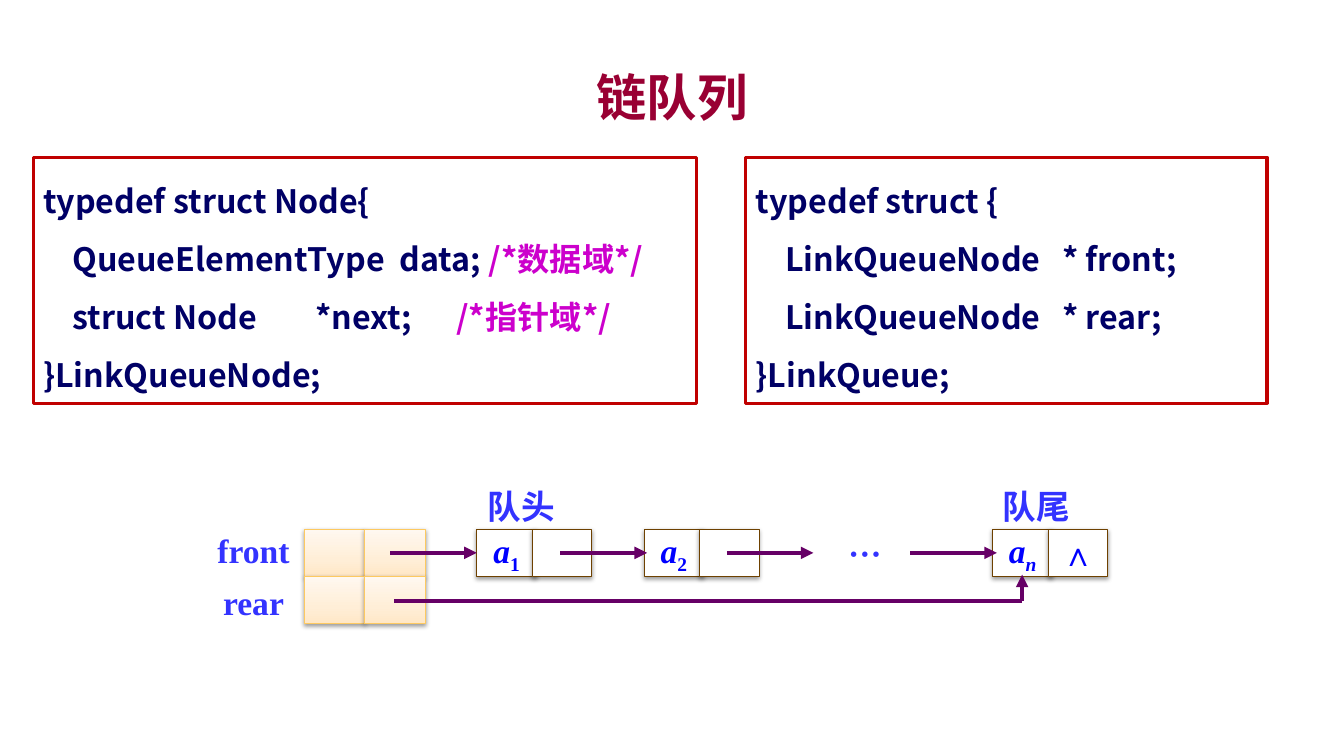
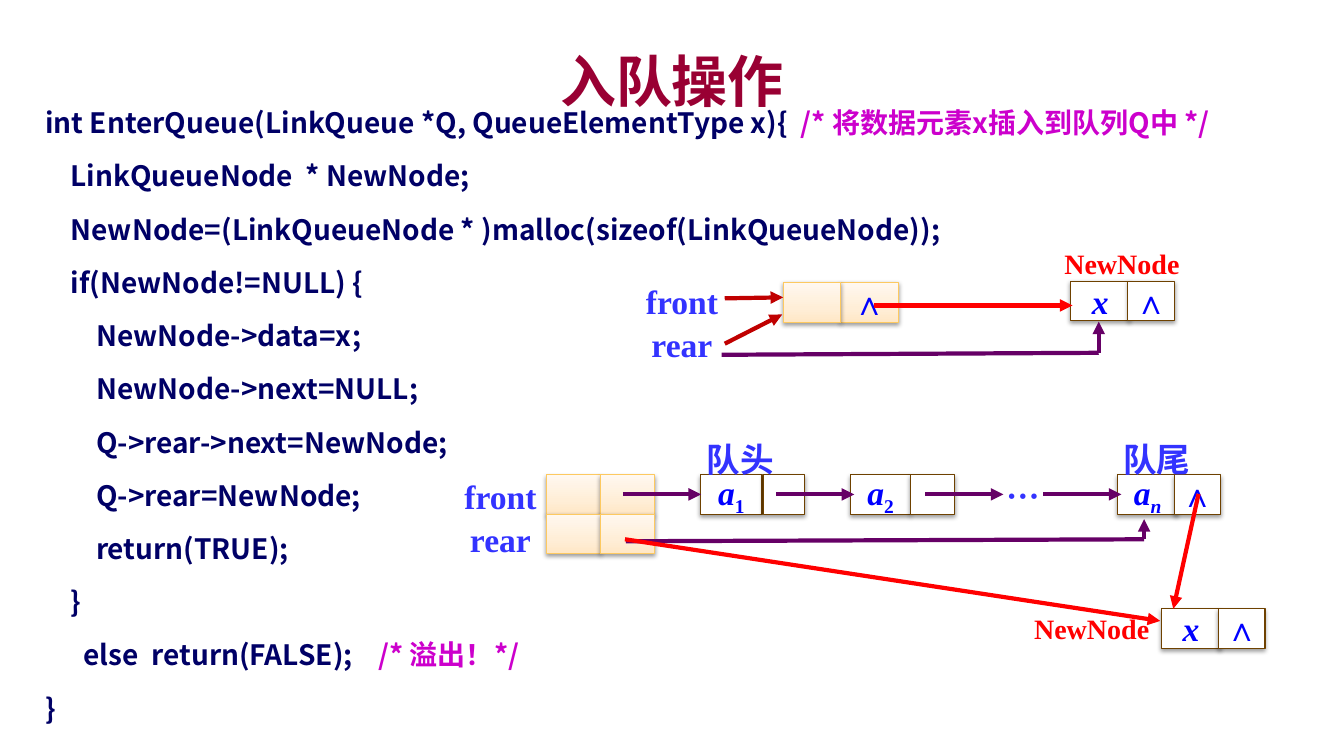
"""Build two slides on the linked queue: its types and its enqueue operation."""
import copy
import dataclasses
import typing

import pptx
import pptx.dml.color
import pptx.enum.shapes
import pptx.enum.text
import pptx.oxml
import pptx.oxml.ns
import pptx.oxml.xmlchemy
import pptx.util

GRID = pptx.util.Inches(0.1)
COLUMNS, ROWS = 133.33, 75
SANS, SERIF = "Noto Sans CJK SC", "Times New Roman"
TITLE, CODE, COMMENT, FRAME = "990033", "000066", "CC00CC", "C00000"
LABEL, VALUE, NEW, LINK = "3333FF", "0000FF", "FF0000", "660066"
CELL_LINE, HEADER_LINE, WHITE = "6E4100", "FDC960", "FFFFFF"
HEADER_STOPS = ((0, "FFE7C6"), (0.35, "FFEED7"), (1, "FFF8F0"))
SHADOW = (
    '<a:outerShdw xmlns:a="http://schemas.openxmlformats.org/drawingml/2006/main"'
    ' blurRad="40000" dist="20000" dir="5400000" rotWithShape="0">'
    '<a:srgbClr val="000000"><a:alpha val="38000"/></a:srgbClr></a:outerShdw>'
)
Slide = typing.Any
Shape = typing.Any
Paragraph = typing.Any


class Box(typing.NamedTuple):
    left: float
    top: float
    width: float
    height: float


class CodeLine(typing.NamedTuple):
    code: str
    comment: str = ""


@dataclasses.dataclass(frozen=True)
class Node:
    left: float
    data: str
    data_width: float = 5.9
    link_offset: float = 5.7
    link_width: float = 4.6
    subscript: str = ""
    link: str = ""


@dataclasses.dataclass(frozen=True)
class Chain:
    top: float
    row_height: float
    header_left: float
    header_width: float
    nodes: tuple[Node, ...]
    arrow_starts: tuple[float, ...]
    arrow_length: float
    end_labels: tuple[float, float]
    label_width: float
    label_rise: float
    dots: Box
    pointers: Box


def rgb(value: str) -> pptx.dml.color.RGBColor:
    """Turn a hex string into a colour."""
    return pptx.dml.color.RGBColor.from_string(value)


def place(*lengths: float) -> list[int]:
    """Convert grid lengths to drawing units."""
    return [round(length * GRID) for length in lengths]


def add_text(paragraph: Paragraph, text: str, size: float, color: str,
             face: str, italic: bool = False, lowered: bool = False) -> None:
    """Append one bold run to a paragraph."""
    run = paragraph.add_run()
    run.text = text
    run.font.size = pptx.util.Pt(size)
    run.font.bold = True
    run.font.italic = italic
    run.font.name = face
    run.font.color.rgb = rgb(color)
    properties = run._r.get_or_add_rPr()
    east_asian = pptx.oxml.xmlchemy.OxmlElement("a:ea")
    east_asian.set("typeface", face)
    properties.append(east_asian)
    if lowered:
        properties.set("baseline", "-25000")


def add_label(slide: Slide, box: Box, text: str, color: str = LABEL,
              size: float = 24, face: str = SANS) -> Shape:
    """Add a centred line of text."""
    shape = slide.shapes.add_textbox(*place(*box))
    frame = shape.text_frame
    frame.word_wrap = True
    frame.margin_left = frame.margin_right = 0
    paragraph = frame.paragraphs[0]
    paragraph.alignment = pptx.enum.text.PP_ALIGN.CENTER
    if face == SANS:
        paragraph.line_spacing = pptx.util.Pt(size * 1.25)
    add_text(paragraph, text, size, color, face)
    return shape


def add_title(slide: Slide, text: str, top: float, height: float, size: float) -> None:
    """Add the slide title."""
    shape = add_label(slide, Box(10, top, COLUMNS - 20, height), text, TITLE, size)
    shape.text_frame.vertical_anchor = pptx.enum.text.MSO_ANCHOR.MIDDLE
    shape.text_frame.paragraphs[0].line_spacing = 1.0


def add_code(slide: Slide, box: Box, lines: tuple[CodeLine, ...], size: float,
             pitch: float, before: float = 0, after: float = 0) -> Shape:
    """Add a listing with coloured comments."""
    shape = slide.shapes.add_textbox(*place(*box))
    frame = shape.text_frame
    frame.word_wrap = True
    for index, line in enumerate(lines):
        paragraph = frame.add_paragraph() if index else frame.paragraphs[0]
        properties = paragraph._p.get_or_add_pPr()
        properties.set("marL", str(pptx.util.Inches(0.38)))
        properties.set("indent", str(-pptx.util.Inches(0.38)))
        paragraph.line_spacing = pptx.util.Pt(pitch)
        paragraph.space_before = pptx.util.Pt(before if index else 0)
        paragraph.space_after = pptx.util.Pt(after)
        add_text(paragraph, line.code, size, CODE, SANS)
        if line.comment:
            add_text(paragraph, line.comment, size, COMMENT, SANS)
    return shape


def add_framed_code(slide: Slide, box: Box, lines: tuple[CodeLine, ...]) -> None:
    """Add a listing inside a red frame."""
    shape = add_code(slide, box, lines, 23, 41.4)
    shape.line.color.rgb = rgb(FRAME)
    shape.line.width = pptx.util.Pt(2.25)


def add_cell(slide: Slide, box: Box, text: str = "", subscript: str = "",
             header: bool = False) -> None:
    """Add one shadowed memory cell."""
    shape = slide.shapes.add_shape(pptx.enum.shapes.MSO_SHAPE.RECTANGLE, *place(*box))
    if header:
        shape.fill.gradient()
        shape.fill.gradient_angle = 90
        stops = shape.element.spPr.find(".//" + pptx.oxml.ns.qn("a:gsLst"))
        stops.append(copy.deepcopy(stops[-1]))
        for stop, (position, color) in zip(shape.fill.gradient_stops, HEADER_STOPS):
            stop.position = position
            stop.color.rgb = rgb(color)
    else:
        shape.fill.solid()
        shape.fill.fore_color.rgb = rgb(WHITE)
    shape.line.color.rgb = rgb(HEADER_LINE if header else CELL_LINE)
    shape.line.width = pptx.util.Pt(0.75)
    shape.shadow.inherit = False
    effects = shape.element.spPr.find(pptx.oxml.ns.qn("a:effectLst"))
    effects.append(pptx.oxml.parse_xml(SHADOW))
    if text:
        frame = shape.text_frame
        frame.word_wrap = False
        frame.vertical_anchor = pptx.enum.text.MSO_ANCHOR.MIDDLE
        paragraph = frame.paragraphs[0]
        paragraph.alignment = pptx.enum.text.PP_ALIGN.CENTER
        add_text(paragraph, text, 24, VALUE, SERIF, text != "∧")
        if subscript:
            add_text(paragraph, subscript, 24, VALUE, SERIF, subscript == "n", True)


def add_node(slide: Slide, node: Node, top: float, height: float) -> None:
    """Add the data cell and the link cell of a node."""
    add_cell(slide, Box(node.left, top, node.data_width, height), node.data, node.subscript)
    link_left = node.left + node.link_offset
    add_cell(slide, Box(link_left, top, node.link_width, height), node.link)


def add_line(slide: Slide, start: tuple[float, float], end: tuple[float, float],
             color: str = LINK, arrow: bool = True) -> None:
    """Add a straight line, with an arrowhead at its end by default."""
    connector = slide.shapes.add_connector(
        pptx.enum.shapes.MSO_CONNECTOR.STRAIGHT, *place(*start, *end))
    connector.line.color.rgb = rgb(color)
    connector.line.width = pptx.util.Pt(3)
    properties = connector._element.spPr
    if arrow:
        line = properties.find(pptx.oxml.ns.qn("a:ln"))
        head = pptx.oxml.xmlchemy.OxmlElement("a:tailEnd")
        head.set("type", "triangle")
        line.append(head)
    properties.append(pptx.oxml.xmlchemy.OxmlElement("a:effectLst"))


def add_elbow(slide: Slide, start: tuple[float, float], corner: tuple[float, float],
              tip: float) -> None:
    """Add a line that turns upwards into an arrow."""
    add_line(slide, start, corner, arrow=False)
    add_line(slide, corner, (corner[0], tip))


def add_pointers(slide: Slide, box: Box) -> None:
    """Add the front and rear labels, one box height apart."""
    for row, text in enumerate(("front", "rear")):
        add_label(slide, box._replace(top=box.top + row * box.height), text, face=SERIF)


def add_new_node(slide: Slide, left: float, top: float, label: Box) -> None:
    """Add the inserted node and its label."""
    add_node(slide, Node(left, "x", link="∧"), top, 3.9)
    add_label(slide, label, "NewNode", NEW, 20, SERIF)


def add_chain(slide: Slide, chain: Chain) -> None:
    """Add a queue header, its nodes, links and labels."""
    for row in range(2):
        for column in range(2):
            add_cell(slide, Box(chain.header_left + column * chain.header_width,
                                chain.top + row * chain.row_height,
                                chain.header_width, chain.row_height), header=True)
    for node in chain.nodes:
        add_node(slide, node, chain.top, chain.row_height)
    middle = chain.top + chain.row_height / 2
    for start in chain.arrow_starts:
        add_line(slide, (start, middle), (start + chain.arrow_length, middle))
    add_label(slide, chain.dots, "…")
    for left, text in zip(chain.end_labels, ("队头", "队尾")):
        add_label(slide, Box(left, chain.top - chain.label_rise, chain.label_width, 5), text)
    add_pointers(slide, chain.pointers)


def build_types(slide: Slide) -> None:
    """Build the slide with the type definitions."""
    add_title(slide, "链队列", 5.8, 7.5, 36)
    add_framed_code(slide, Box(3.3, 15.6, 65.8, 24.4), (
        CodeLine("typedef struct Node{"),
        CodeLine("    QueueElementType  data; ", "/*数据域*/"),
        CodeLine("    struct Node        *next;      ", "/*指针域*/"),
        CodeLine("}LinkQueueNode;")))
    add_framed_code(slide, Box(74, 15.6, 51.7, 24.4), (
        CodeLine("typedef struct {"),
        CodeLine("    LinkQueueNode   * front;"),
        CodeLine("    LinkQueueNode   * rear;"),
        CodeLine("}LinkQueue;")))
    nodes = (Node(47.3, "a", 5.9, 5.5, 5.9, "1"), Node(63.9, "a", 5.9, 5.5, 5.9, "2"),
             Node(98.5, "a", 5.9, 5.5, 5.9, "n", "∧"))
    add_chain(slide, Chain(52.5, 4.7, 30.2, 6, nodes, (38.7, 55.6, 72.1, 90.3), 8.6,
                           (46.2, 97.3), 11, 5, Box(81.1, 52.3, 9.5, 5),
                           Box(20, 52.1, 10.3, 5.1)))
    add_elbow(slide, (39.1, 59.6), (101.4, 59.6), 57)


def build_enqueue(slide: Slide) -> None:
    """Build the slide with the enqueue operation."""
    add_title(slide, "入队操作", 5, 5.8, 40)
    add_code(slide, Box(3.5, 10, 125.6, 60), (
        CodeLine("int EnterQueue(LinkQueue *Q, QueueElementType x){  ",
                 "/* 将数据元素x插入到队列Q中 */"),
        CodeLine("    LinkQueueNode  * NewNode;"),
        CodeLine("    NewNode=(LinkQueueNode * )malloc(sizeof(LinkQueueNode));"),
        CodeLine("    if(NewNode!=NULL) {"),
        CodeLine("        NewNode->data=x;"),
        CodeLine("        NewNode->next=NULL;"),
        CodeLine("        Q->rear->next=NewNode;"),
        CodeLine("        Q->rear=NewNode;"),
        CodeLine("        return(TRUE);"),
        CodeLine("    }"),
        CodeLine("\telse  return(FALSE);    ", "/* 溢出！*/"),
        CodeLine("}")), 20, 24, 8, 6)
    nodes = (Node(69.5, "a", 6.1, 6.2, 4.1, "1"), Node(84.4, "a", 5.9, 5.9, 4.4, "2"),
             Node(110.9, "a", 5.9, 5.6, 4.6, "n", "∧"))
    add_chain(slide, Chain(47.1, 3.9, 54.2, 5.35, nodes, (61.8, 77, 91.8, 103.5), 7.75,
                           (68.5, 109.8), 9.9, 4.2, Box(97.3, 46.6, 8.5, 4.1),
                           Box(45, 46.7, 9.3, 4.3)))
    add_elbow(slide, (62.1, 53.7), (113.5, 53.5), 51.5)
    add_new_node(slide, 115.2, 60.4, Box(100.2, 60.2, 16.2, 4.4))
    add_line(slide, (118.9, 49), (116.4, 60.4), NEW)
    add_line(slide, (62, 53.5), (115.1, 61.6), NEW)
    for left, text in ((83.4, "∧"), (77.7, "")):
        add_cell(slide, Box(left, 28, 5.7, 4), text, header=True)
    add_pointers(slide, Box(62.7, 27.4, 9.9, 4.2))
    add_line(slide, (71.9, 29.6), (77.7, 29.5), FRAME)
    add_line(slide, (71.9, 34.1), (77.6, 31.2), FRAME)
    add_new_node(slide, 106.2, 27.9, Box(103.2, 24, 16.2, 4.4))
    add_line(slide, (86.7, 30.3), (106.4, 30.3), NEW)
    add_elbow(slide, (71.6, 35.2), (109, 35), 31.9)


def main() -> None:
    """Create and save the presentation."""
    presentation = pptx.Presentation()
    presentation.slide_width, presentation.slide_height = place(COLUMNS, ROWS)
    for build in (build_types, build_enqueue):
        build(presentation.slides.add_slide(presentation.slide_layouts[6]))
    presentation.save("out.pptx")


if __name__ == "__main__":
    main()
